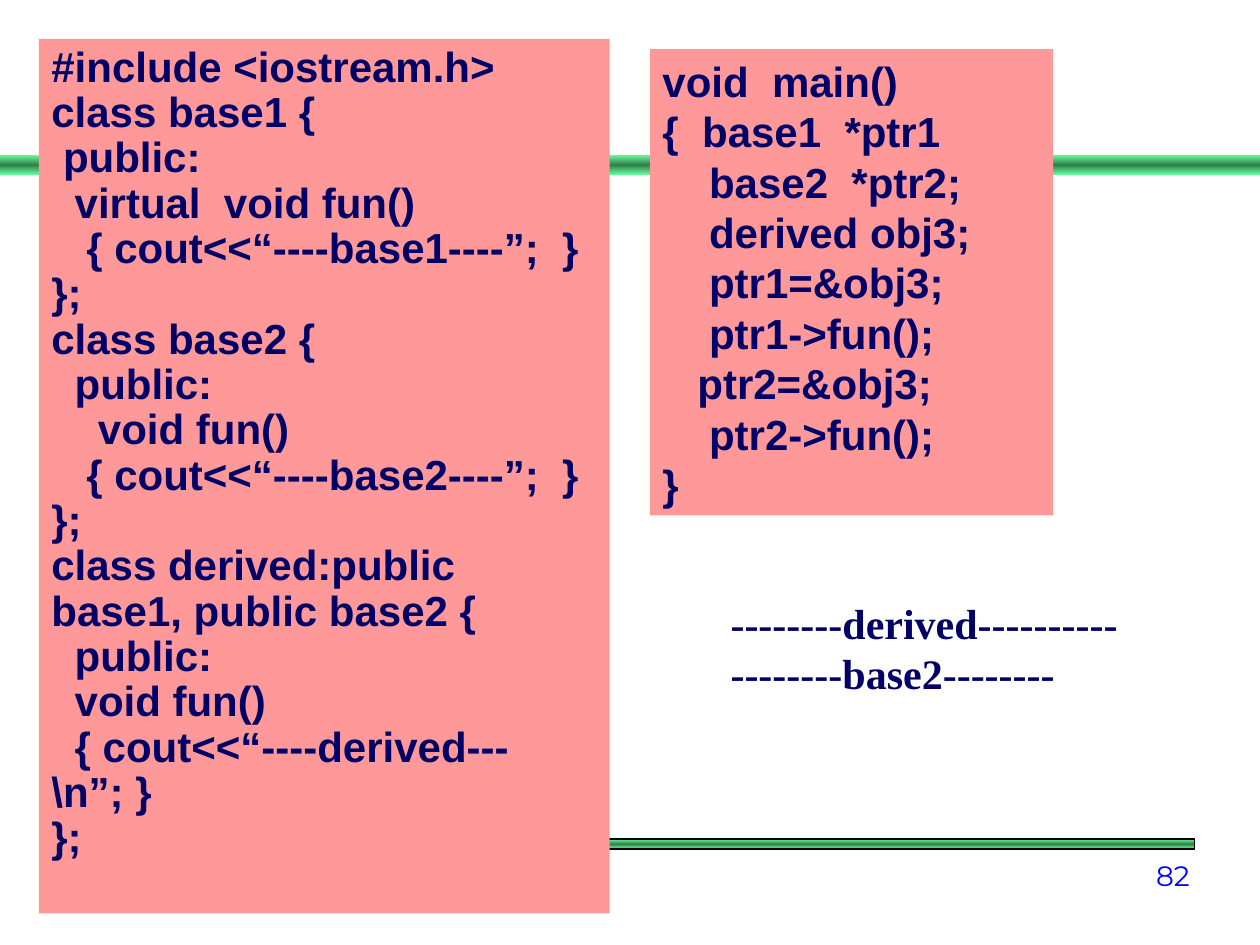
import copy

import pptx
import pptx.dml.color
import pptx.enum.shapes
import pptx.enum.text
import pptx.util

Inches = pptx.util.Inches
Pt = pptx.util.Pt
ALIGN = pptx.enum.text.PP_ALIGN
ANCHOR = pptx.enum.text.MSO_ANCHOR

COLORS = {
    "panel": "FF9999",
    "code": "000066",
    "number": "0000FF",
    "bar_edge": "66FF99",
    "bar_middle": "337F4C",
    "outline": "000000",
}

CLASSES = r"""#include <iostream.h>
class base1 {
 public:
  virtual  void fun()
   { cout<<“----base1----”;  }
};
class base2 {
  public:
    void fun()
   { cout<<“----base2----”;  }
};
class derived:public base1, public base2 {
  public:
  void fun()
  { cout<<“----derived---\n”; }
};"""

MAIN = """void  main()
{  base1  *ptr1
    base2  *ptr2;
    derived obj3;
    ptr1=&obj3;
    ptr1->fun();
   ptr2=&obj3;
    ptr2->fun();
}"""

OUTPUT = """--------derived----------
--------base2--------"""


def color(name):
    return pptx.dml.color.RGBColor.from_string(COLORS[name])


def write(shape, text, font="Arial", size=24, bold=True, ink="code",
          align=ALIGN.LEFT, anchor=ANCHOR.TOP, spacing=Pt(28.8)):
    frame = shape.text_frame
    frame.word_wrap = True
    frame.vertical_anchor = anchor
    for index, line in enumerate(text.split("\n")):
        para = frame.paragraphs[0] if index == 0 else frame.add_paragraph()
        para.alignment = align
        para.line_spacing = spacing
        span = para.add_run()
        span.text = line
        span.font.name = font
        span.font.size = Pt(size)
        span.font.bold = bold
        span.font.color.rgb = color(ink)


def add_rectangle(page, box):
    shape = page.shapes.add_shape(
        pptx.enum.shapes.MSO_SHAPE.RECTANGLE, *map(Inches, box))
    shape.shadow.inherit = False
    shape.line.fill.background()
    return shape


def add_bar(page, box, outlined=False):
    bar = add_rectangle(page, box)
    bar.fill.gradient()
    bar.fill.gradient_angle = 90
    stops = bar.fill.gradient_stops
    first = stops[0]._gs
    first.addnext(copy.deepcopy(first))
    names = ("bar_edge", "bar_middle", "bar_edge")
    for index, (stop, name) in enumerate(zip(bar.fill.gradient_stops, names)):
        stop.position = index / 2
        stop.color.rgb = color(name)
    if outlined:
        bar.line.color.rgb = color("outline")
        bar.line.width = Pt(1)


def add_code_panel(page, box, text, **style):
    panel = add_rectangle(page, box)
    panel.fill.solid()
    panel.fill.fore_color.rgb = color("panel")
    write(panel, text, **style)


def add_label(page, box, text, **style):
    write(page.shapes.add_textbox(*map(Inches, box)), text, **style)


def main():
    deck = pptx.Presentation()
    deck.slide_width = Inches(10)
    deck.slide_height = Inches(7.5)
    page = deck.slides.add_slide(deck.slide_layouts[6])
    add_bar(page, (0, 1.23, 10, 0.16))
    add_bar(page, (1.53, 6.66, 7.95, 0.08), outlined=True)
    add_label(page, (8.75, 6.74, 0.79, 0.39), "82", font="Montserrat", size=16,
              bold=False, ink="number", align=ALIGN.RIGHT,
              anchor=ANCHOR.BOTTOM, spacing=1.0)
    add_code_panel(page, (0.31, 0.31, 4.53, 6.94), CLASSES, spacing=Pt(25.92))
    add_code_panel(page, (5.16, 0.39, 3.2, 3.7), MAIN)
    add_label(page, (5.7, 4.69, 3.83, 0.9), OUTPUT, font="Times New Roman")
    deck.save("out.pptx")


if __name__ == "__main__":
    main()
